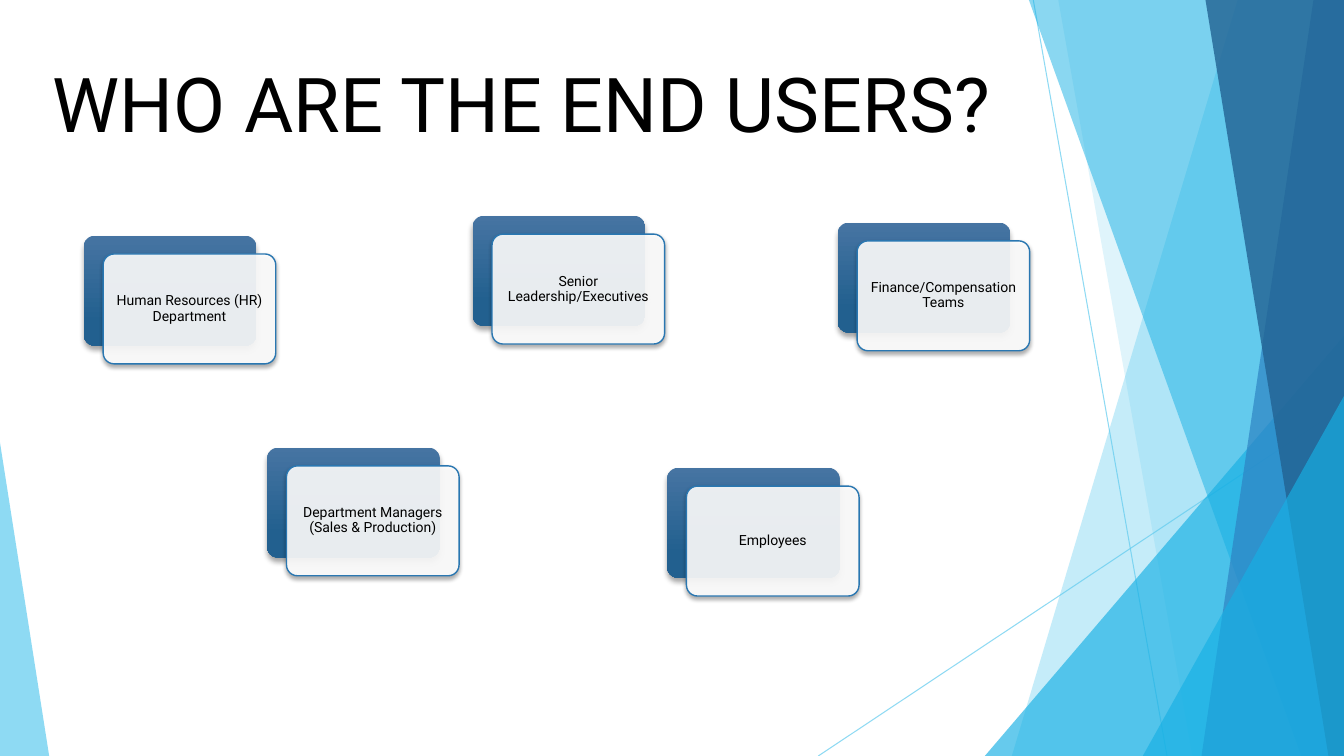
from dataclasses import dataclass

from lxml import etree
from pptx import Presentation
from pptx import util as u
from pptx.dml.color import RGBColor
from pptx.enum import shapes, text
from pptx.oxml import ns


@dataclass(frozen=True)
class Theme:
    font: str = "Roboto"
    title_size: int = 54
    card_size: int = 10
    ink: str = "000000"
    paper: str = "FFFFFF"
    sky: str = "5FCBEF"
    cyan: str = "17B0E4"
    blue: str = "2E83C3"
    navy: str = "226292"
    card_line: str = "2A77B1"
    card_top: str = "4674A2"
    card_bottom: str = "22608F"


theme = Theme()
WIDTH, HEIGHT = 33.87, 19.05


def paint(color_format, color, opacity=100):
    color_format.rgb = RGBColor.from_string(color)
    if opacity < 100:
        node = color_format._xFill.find(ns.qn("a:srgbClr"))
        etree.SubElement(node, ns.qn("a:alpha"), val=str(opacity * 1000))


def write(paragraph, words, size):
    run = paragraph.add_run()
    run.text = words
    run.font.name = theme.font
    run.font.size = u.Pt(size)
    run.font.color.rgb = RGBColor.from_string(theme.ink)


presentation = Presentation()
presentation.slide_width = u.Cm(WIDTH)
presentation.slide_height = u.Cm(HEIGHT)
slide = presentation.slides.add_slide(presentation.slide_layouts[5])

rays = [
    (26.04, 0, 29.41, HEIGHT),
    (WIDTH, 10.24, 20.62, HEIGHT),
]
for ray in rays:
    connector = slide.shapes.add_connector(
        shapes.MSO_CONNECTOR.STRAIGHT, *[u.Cm(value) for value in ray])
    connector.line.width = u.Pt(0.75)
    connector.line.fill.solid()
    node = connector.line.fill
    node.fore_color.rgb = RGBColor.from_string(theme.sky)
    color_node = connector.line._ln.find(".//" + ns.qn("a:srgbClr"))
    etree.SubElement(color_node, ns.qn("a:alpha"), val="70000")
    etree.SubElement(connector._element.spPr, ns.qn("a:effectLst"))

facets = [
    ("band", (31.19, 25.5), theme.sky, 36),
    ("band", (26.67, 30.05), theme.sky, 20),
    ("triangle", (24.82, 8.46, WIDTH, 1), theme.cyan, 66),
    ("band", (25.93, 32.79), theme.cyan, 50),
    ("band", (33.1, 30.28), theme.blue, 70),
    ("band", (30.38, 33.48), theme.navy, 80),
    ("triangle", (28.8, 9.98, WIDTH, 1), theme.cyan, 66),
    ("triangle", (0, 11.15, 1.24, 0), theme.sky, 70),
]
for kind, geometry, color, opacity in facets:
    if kind == "band":
        top_left, bottom_left = geometry
        corners = [(WIDTH, 0), (WIDTH, HEIGHT), (bottom_left, HEIGHT)]
        builder = slide.shapes.build_freeform(u.Cm(top_left), 0)
        builder.add_line_segments([(u.Cm(x), u.Cm(y)) for x, y in corners])
        shape = builder.convert_to_shape()
    else:
        left, top, right, apex = geometry
        shape = slide.shapes.add_shape(
            shapes.MSO_SHAPE.ISOSCELES_TRIANGLE,
            u.Cm(left), u.Cm(top), u.Cm(right - left), u.Cm(HEIGHT - top))
        shape.adjustments[0] = apex
    shape.shadow.inherit = False
    shape.line.fill.background()
    shape.fill.solid()
    shape.fill.fore_color.rgb = RGBColor.from_string(color)
    color_node = shape._element.spPr.find(".//" + ns.qn("a:srgbClr"))
    etree.SubElement(color_node, ns.qn("a:alpha"), val=str(opacity * 1000))

title = slide.shapes.title
title.left, title.top, title.width, title.height = (
    u.Cm(value) for value in (1.07, 1.3, 24.64, 2.57))
title.text_frame.word_wrap = True
title.text_frame.auto_size = text.MSO_AUTO_SIZE.SHAPE_TO_FIT_TEXT
title.text_frame.vertical_anchor = text.MSO_ANCHOR.TOP
title.text_frame.paragraphs[0].alignment = text.PP_ALIGN.LEFT
write(title.text_frame.paragraphs[0], "WHO ARE THE END USERS?", theme.title_size)

CARD_WIDTH, CARD_HEIGHT = 4.35, 2.77
SHIFT_X, SHIFT_Y = 0.49, 0.46
cards = [
    (2.11, 5.94, "Human Resources (HR) Department"),
    (6.73, 11.28, "Department Managers (Sales & Production)"),
    (11.91, 5.44, "Senior Leadership/Executives"),
    (16.81, 11.79, "Employees"),
    (21.11, 5.61, "Finance/Compensation Teams"),
]
for left, top, label in cards:
    back, front = [
        slide.shapes.add_shape(
            shapes.MSO_SHAPE.ROUNDED_RECTANGLE,
            u.Cm(left + step * SHIFT_X), u.Cm(top + step * SHIFT_Y),
            u.Cm(CARD_WIDTH), u.Cm(CARD_HEIGHT))
        for step in range(2)]

    back.line.fill.background()
    back.fill.gradient()
    back.fill.gradient_angle = 270
    stops = [(0, theme.card_top), (0.78, theme.card_bottom)]
    for stop, (position, color) in zip(back.fill.gradient_stops, stops):
        stop.position = position
        stop.color.rgb = RGBColor.from_string(color)

    front.fill.solid()
    front.fill.fore_color.rgb = RGBColor.from_string(theme.paper)
    color_node = front._element.spPr.find(".//" + ns.qn("a:srgbClr"))
    etree.SubElement(color_node, ns.qn("a:alpha"), val="90000")
    front.line.color.rgb = RGBColor.from_string(theme.card_line)
    front.line.width = u.Pt(1)

    for shape, blur, distance in [(back, 4, 3), (front, 3, 2)]:
        shape.adjustments[0] = 0.1
        shape.shadow.inherit = False
        effects = shape._element.spPr.find(ns.qn("a:effectLst"))
        shadow = etree.SubElement(
            effects, ns.qn("a:outerShdw"), blurRad=str(u.Pt(blur)),
            dist=str(u.Pt(distance)), dir="5400000", rotWithShape="0")
        shade = etree.SubElement(shadow, ns.qn("a:srgbClr"), val=theme.ink)
        etree.SubElement(shade, ns.qn("a:alpha"), val="35000")

    frame = front.text_frame
    frame.word_wrap = True
    frame.vertical_anchor = text.MSO_ANCHOR.MIDDLE
    frame.margin_left = frame.margin_right = u.Cm(0.1)
    frame.margin_top = frame.margin_bottom = u.Cm(0.1)
    paragraph = frame.paragraphs[0]
    paragraph.alignment = text.PP_ALIGN.CENTER
    paragraph.line_spacing = 0.9
    write(paragraph, label, theme.card_size)

presentation.save("out.pptx")
